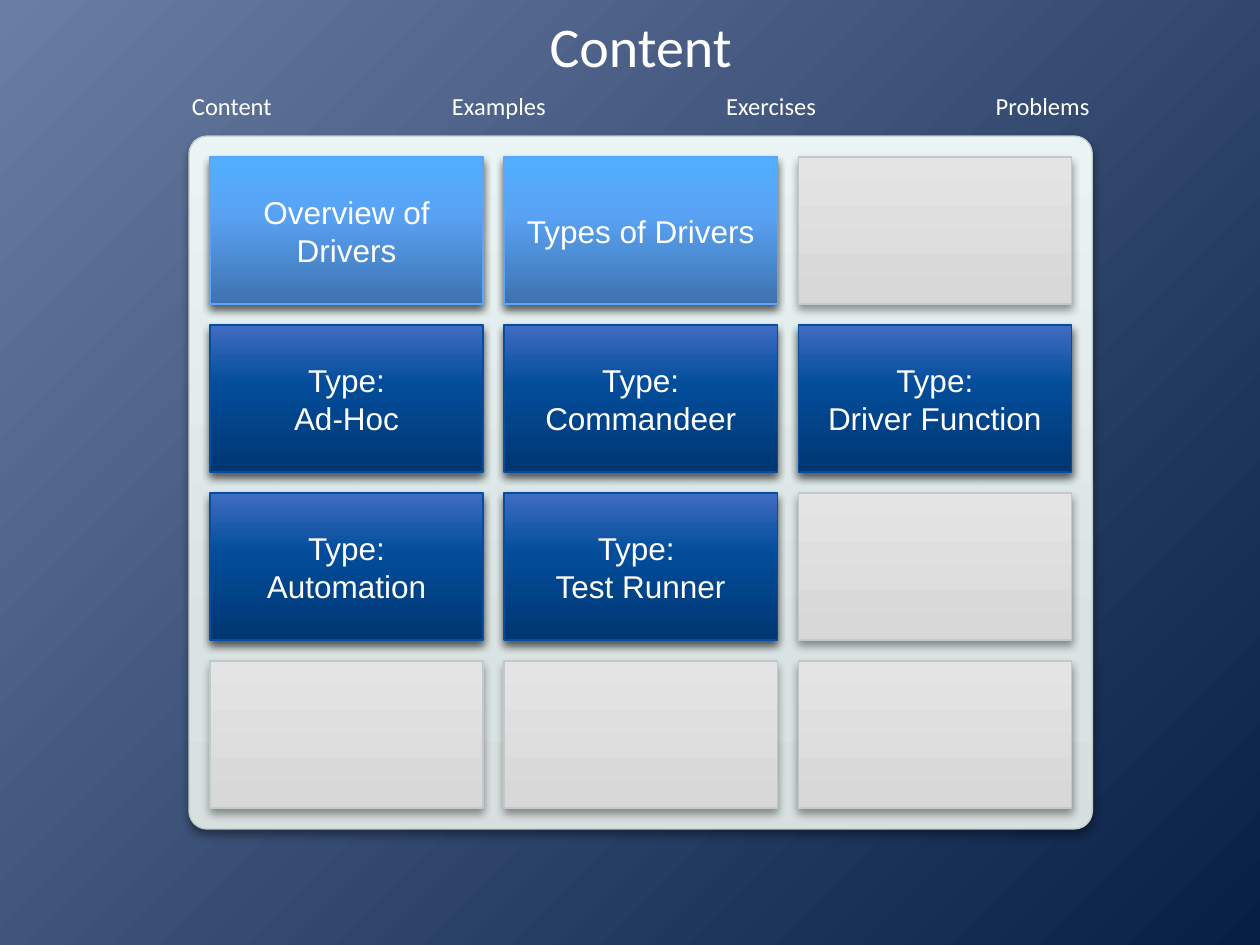
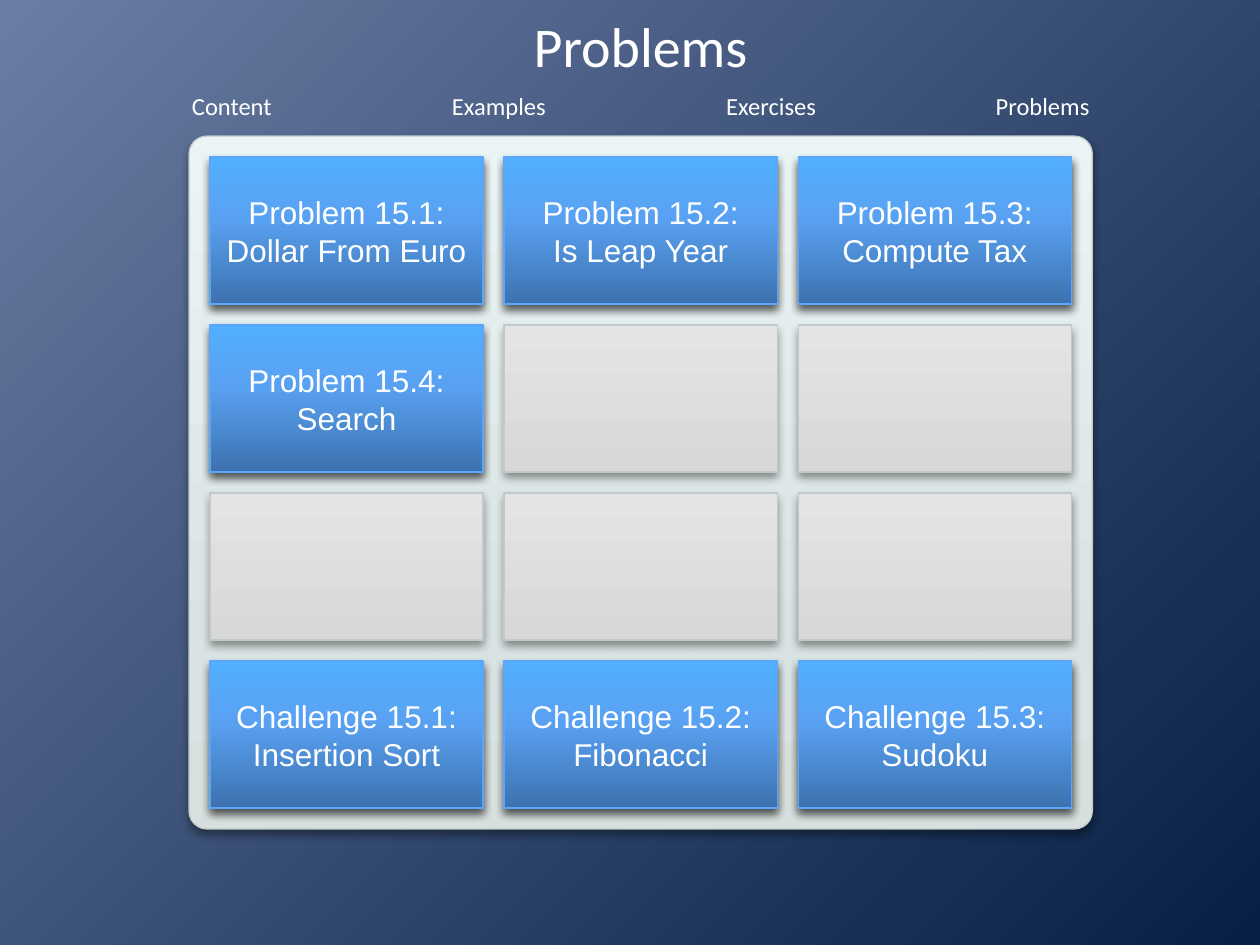
from dataclasses import dataclass
from typing import Any

from lxml import etree
from pptx import Presentation
from pptx.dml.color import RGBColor
from pptx.enum.shapes import MSO_SHAPE
from pptx.enum.text import MSO_ANCHOR, MSO_AUTO_SIZE, PP_ALIGN
from pptx.oxml.ns import qn
from pptx.shapes.autoshape import Shape
from pptx.slide import Slide
from pptx.util import Inches, Pt

RECTANGLE = MSO_SHAPE.RECTANGLE
ROUNDED_RECTANGLE = MSO_SHAPE.ROUNDED_RECTANGLE
MIDDLE = MSO_ANCHOR.MIDDLE
CENTER = PP_ALIGN.CENTER
GROW = MSO_AUTO_SIZE.SHAPE_TO_FIT_TEXT

COLORS = {
    "text": "FFFFFF",
    "shadow": "000000",
    "background light": "6A7DA4",
    "background dark": "071F45",
    "neutral line": "C1C9C9",
    "panel low": "D7DFDF",
    "panel mid": "DAE3E3",
    "panel high": "EBF4F4",
    "empty low": "D8D8D8",
    "empty high": "E4E4E4",
    "bright low": "3D72AF",
    "bright mid": "59A2F3",
    "bright high": "52AFFF",
    "bright line": "5BA6FA",
    "deep low": "003671",
    "deep mid": "034D9B",
    "deep high": "406DC3",
    "deep line": "034EA0",
}

Stops = tuple[tuple[int, str], ...]


@dataclass(frozen=True)
class Box:
    left: int
    top: int
    width: int
    height: int

    def bounds(self) -> tuple[int, int, int, int]:
        return self.left, self.top, self.width, self.height


@dataclass(frozen=True)
class Surface:
    stops: Stops
    line: str


@dataclass(frozen=True)
class Tile:
    row: int
    column: int
    text: str
    surface: Surface


@dataclass(frozen=True)
class Board:
    title: str
    tiles: tuple[Tile, ...]


PANEL_SURFACE = Surface(
    ((0, "panel low"), (25, "panel mid"), (100, "panel high")), "neutral line")
EMPTY = Surface(
    ((0, "empty low"), (1, "empty low"), (100, "empty high")), "neutral line")
BRIGHT = Surface(
    ((0, "bright low"), (60, "bright mid"), (100, "bright high")), "bright line")
DEEP = Surface(
    ((0, "deep low"), (60, "deep mid"), (100, "deep high")), "deep line")
BACKGROUND: Stops = ((0, "background light"), (100, "background dark"))

ROWS, COLUMNS = 4, 3
PANEL = Box(Inches(1.5), Inches(1.08), Inches(7.17), Inches(5.5))
PANEL_CORNER = 0.026
GAP = Inches(1 / 6)
TILE_WIDTH = (PANEL.width - (COLUMNS + 1) * GAP) // COLUMNS
TILE_HEIGHT = (PANEL.height - (ROWS + 1) * GAP) // ROWS

TITLE = Box(PANEL.left, Inches(0.11), PANEL.width, Inches(0.5))
MENU_LEFT, MENU_TOP = Inches(1.42), Inches(0.67)
MENU_HEIGHT, MENU_GAP = Inches(0.34), Inches(1.22)
MENU_WIDTHS = {"Content": 0.84, "Examples": 0.96, "Exercises": 0.92, "Problems": 0.95}

TITLE_FRAME = {"word_wrap": True, "vertical_anchor": MIDDLE, "margin_left": 0,
               "margin_top": 0, "margin_right": 0, "margin_bottom": 0}
MENU_FRAME = {"word_wrap": False, "auto_size": GROW}
TILE_FRAME = {"word_wrap": True, "vertical_anchor": MIDDLE}
TITLE_FONT = {"name": "Calibri", "size": Pt(32)}
MENU_FONT = {"name": "Calibri", "size": Pt(14)}
TILE_FONT = {"name": "Arial", "size": Pt(18)}

# In a tile, "\v" breaks a line and "\n" starts a paragraph.
BOARDS = (
    Board("Content", (
        Tile(0, 0, "Overview of Drivers", BRIGHT),
        Tile(0, 1, "Types of Drivers", BRIGHT),
        Tile(1, 0, "Type:\vAd-Hoc", DEEP),
        Tile(1, 1, "Type:\nCommandeer", DEEP),
        Tile(1, 2, "Type:\nDriver Function", DEEP),
        Tile(2, 0, "Type:\nAutomation", DEEP),
        Tile(2, 1, "Type: \vTest Runner", DEEP),
    )),
    Board("Problems", (
        Tile(0, 0, "Problem 15.1:\vDollar From Euro", BRIGHT),
        Tile(0, 1, "Problem 15.2:\vIs Leap Year", BRIGHT),
        Tile(0, 2, "Problem 15.3:\vCompute Tax", BRIGHT),
        Tile(1, 0, "Problem 15.4:\vSearch", BRIGHT),
        Tile(3, 0, "Challenge 15.1:\vInsertion Sort", BRIGHT),
        Tile(3, 1, "Challenge 15.2:\vFibonacci", BRIGHT),
        Tile(3, 2, "Challenge 15.3:\vSudoku", BRIGHT),
    )),
)


def apply_format(target: Any, values: dict[str, Any]) -> None:
    for name, value in values.items():
        setattr(target, name, value)


def add_node(parent: Any, tag: str, **attributes: str) -> Any:
    return etree.SubElement(parent, qn(tag), attributes)


def set_stops(element: Any, stops: Stops) -> Any:
    """Empty the first gradient in the element, give it stops and return it."""
    gradient = element.find(".//" + qn("a:gradFill"))
    for child in list(gradient):
        gradient.remove(child)
    stop_list = add_node(gradient, "a:gsLst")
    for percent, color in stops:
        stop = add_node(stop_list, "a:gs", pos=str(percent * 1000))
        add_node(stop, "a:srgbClr", val=COLORS[color])
    return gradient


def paint_background(slide: Slide) -> None:
    slide.background.fill.gradient()
    gradient = set_stops(slide.element, BACKGROUND)
    circle = add_node(gradient, "a:path", path="circle")
    add_node(circle, "a:fillToRect", r="100000", b="100000")


def add_shadow(shape: Shape) -> None:
    shape.shadow.inherit = False
    effects = shape.element.spPr.find(qn("a:effectLst"))
    shadow = add_node(effects, "a:outerShdw", blurRad=str(Pt(5.2)), dist=str(Pt(3)),
                      dir="5400000", algn="t", rotWithShape="0")
    color = add_node(shadow, "a:srgbClr", val=COLORS["shadow"])
    add_node(color, "a:alpha", val="40000")


def add_surface(slide: Slide, box: Box, surface: Surface,
                preset: MSO_SHAPE = RECTANGLE) -> Shape:
    shape = slide.shapes.add_shape(preset, *box.bounds())
    shape.fill.gradient()
    gradient = set_stops(shape.element.spPr, surface.stops)
    add_node(gradient, "a:lin", ang="16200000", scaled="0")
    shape.line.color.rgb = RGBColor.from_string(COLORS[surface.line])
    shape.line.width = Pt(0.75)
    add_shadow(shape)
    return shape


def write_text(shape: Shape, text: str, frame: dict[str, Any],
               font: dict[str, Any]) -> None:
    apply_format(shape.text_frame, frame)
    shape.text_frame.text = text
    for paragraph in shape.text_frame.paragraphs:
        paragraph.alignment = CENTER
        for run in paragraph.runs:
            apply_format(run.font, font)
            run.font.color.rgb = RGBColor.from_string(COLORS["text"])


def tile_box(row: int, column: int) -> Box:
    return Box(PANEL.left + GAP + column * (TILE_WIDTH + GAP),
               PANEL.top + GAP + row * (TILE_HEIGHT + GAP),
               TILE_WIDTH, TILE_HEIGHT)


def add_menu(slide: Slide) -> None:
    left = MENU_LEFT
    for label, inches in MENU_WIDTHS.items():
        width = Inches(inches)
        entry = slide.shapes.add_textbox(left, MENU_TOP, width, MENU_HEIGHT)
        write_text(entry, label, MENU_FRAME, MENU_FONT)
        left += width + MENU_GAP


def add_frame(slide: Slide) -> None:
    """Draw what every board shares: background, panel, empty tiles and menu."""
    paint_background(slide)
    panel = add_surface(slide, PANEL, PANEL_SURFACE, ROUNDED_RECTANGLE)
    panel.adjustments[0] = PANEL_CORNER
    for row in range(ROWS):
        for column in range(COLUMNS):
            add_surface(slide, tile_box(row, column), EMPTY)
    add_menu(slide)


def add_board(slide: Slide, board: Board) -> None:
    add_frame(slide)
    title = slide.shapes.add_textbox(*TITLE.bounds())
    write_text(title, board.title, TITLE_FRAME, TITLE_FONT)
    for tile in board.tiles:
        shape = add_surface(slide, tile_box(tile.row, tile.column), tile.surface)
        write_text(shape, tile.text, TILE_FRAME, TILE_FONT)


def main() -> None:
    presentation = Presentation()
    presentation.slide_width = Inches(10)
    presentation.slide_height = Inches(7.5)
    blank_layout = presentation.slide_layouts[6]
    for board in BOARDS:
        add_board(presentation.slides.add_slide(blank_layout), board)
    presentation.save("out.pptx")


if __name__ == "__main__":
    main()
